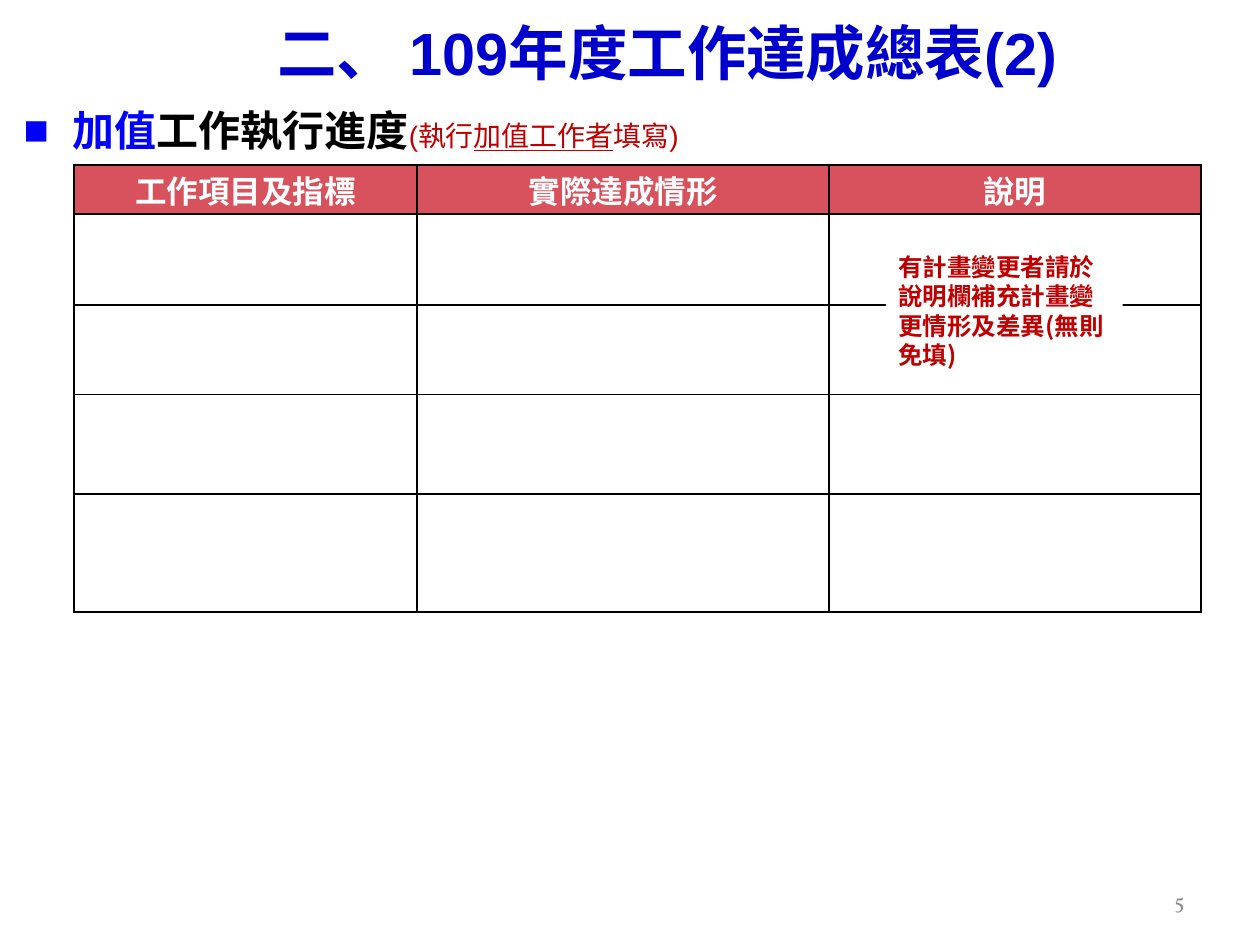
from pptx import Presentation
from pptx.dml.color import RGBColor
from pptx.enum.shapes import MSO_SHAPE
from pptx.enum.text import MSO_ANCHOR as Anchor, PP_ALIGN as Align
from pptx.oxml.ns import qn
from pptx.util import Inches, Pt
from lxml.etree import SubElement

W, H = 10, 7.5
COLORS = {
    "title": "0000CC", "blue": "0000FF", "black": "000000", "red": "C00000",
    "header": "D7525D", "white": "FFFFFF", "grey": "8C8C8C",
}
CJK = "Noto Sans CJK SC"
COLS = [2.72, 3.27, 2.95]
ROWS = [0.39, 0.72, 0.71, 0.79, 0.94]
HEADERS = [("工作項目及指標", "Arial"), ("實際達成情形", CJK), ("說明", CJK)]


def rgb(name):
    return RGBColor.from_string(COLORS[name])


def add_run(p, text, color, **fmt):
    r = p.add_run()
    r.text = text
    for key, value in fmt.items():
        setattr(r.font, key, value)
    r.font.color.rgb = rgb(color)
    SubElement(r.font._element, qn("a:ea"), typeface=CJK)


def indent(p, left, first=0, bullet=None):
    pPr = p._p.get_or_add_pPr()
    pPr.set("marL", str(Inches(left)))
    pPr.set("indent", str(Inches(first)))
    if bullet:
        SubElement(pPr, qn("a:buFont"), typeface="Arial")
        SubElement(pPr, qn("a:buChar"), char=bullet)


def add_text(slide, x, y, w, h, align, anchor=Anchor.TOP):
    """Add a wrapping text box and return its first paragraph."""
    tf = slide.shapes.add_textbox(*map(Inches, (x, y, w, h))).text_frame
    tf.word_wrap = True
    tf.vertical_anchor = anchor
    p = tf.paragraphs[0]
    p.alignment = align
    return p


def set_borders(cell, row, col):
    """Draw the table's outer edge thicker than its inner lines."""
    outer = {"L": col == 0, "R": col == len(COLS) - 1,
             "T": row == 0, "B": row == len(ROWS) - 1}
    tcPr = cell._tc.get_or_add_tcPr()
    for side, is_outer in outer.items():
        ln = SubElement(tcPr, qn(f"a:ln{side}"), w=str(Pt(1.5 if is_outer else 1)))
        fill = SubElement(ln, qn("a:solidFill"))
        SubElement(fill, qn("a:srgbClr"), val=COLORS["black"])


def fill_header(cell, text, font):
    cell.fill.solid()
    cell.fill.fore_color.rgb = rgb("header")
    cell.vertical_anchor = Anchor.MIDDLE
    margins = {"margin_left": 0.01, "margin_right": 0.01,
               "margin_top": 0, "margin_bottom": 0}
    for key, value in margins.items():
        setattr(cell, key, Inches(value))
    p = cell.text_frame.paragraphs[0]
    p.alignment = Align.CENTER
    add_run(p, text, "white", size=Pt(18), name=font, bold=True)


def add_progress_table(slide, x, y):
    size = map(Inches, (x, y, sum(COLS), sum(ROWS)))
    table = slide.shapes.add_table(len(ROWS), len(COLS), *size).table
    table.horz_banding = False
    for column, width in zip(table.columns, COLS):
        column.width = Inches(width)
    for i, (row, height) in enumerate(zip(table.rows, ROWS)):
        row.height = Inches(height)
        for j, cell in enumerate(row.cells):
            set_borders(cell, i, j)
            if i == 0:
                fill_header(cell, *HEADERS[j])
            else:
                cell.fill.background()


def add_note(slide, x, y, w, h, text):
    sp = slide.shapes.add_shape(MSO_SHAPE.RECTANGLE, *map(Inches, (x, y, w, h)))
    sp.shadow.inherit = False
    sp.fill.solid()
    sp.fill.fore_color.rgb = rgb("white")
    sp.line.fill.background()
    tf = sp.text_frame
    tf.word_wrap = True
    tf.vertical_anchor = Anchor.TOP
    p = tf.paragraphs[0]
    p.alignment = Align.LEFT
    add_run(p, text, "red", size=Pt(14), name=CJK, bold=True)


def main():
    prs = Presentation()
    prs.slide_width, prs.slide_height = Inches(W), Inches(H)
    slide = prs.slides.add_slide(prs.slide_layouts[6])

    number = add_text(slide, 7.17, 6.95, 2.33, 0.4, Align.RIGHT, Anchor.MIDDLE)
    add_run(number, "5", "grey", size=Pt(12), name="Vollkorn")

    title = add_text(slide, 0, 0.08, W, 0.68, Align.CENTER)
    indent(title, 0.59)
    add_run(title, "二、 109年度工作達成總表(2)", "title",
            size=Pt(34), name="Arial", bold=True)

    heading = add_text(slide, 0, 0.78, W, 0.5, Align.JUSTIFY)
    indent(heading, 0.48, -0.39, "■")
    strong = {"size": Pt(24), "name": "Arial", "bold": True}
    hint = {"size": Pt(16), "name": "Arial", "bold": False}
    add_run(heading, "加值", "blue", **strong)
    add_run(heading, "工作執行進度", "black", **strong)
    add_run(heading, "(執行", "red", **hint)
    add_run(heading, "加值工作者", "red", underline=True, **hint)
    add_run(heading, "填寫)", "red", **hint)

    add_progress_table(slide, 0.59, 1.31)
    add_note(slide, 7.03, 1.95, 1.88, 1.04,
             "有計畫變更者請於說明欄補充計畫變更情形及差異(無則免填)")
    prs.save("out.pptx")


if __name__ == "__main__":
    main()
